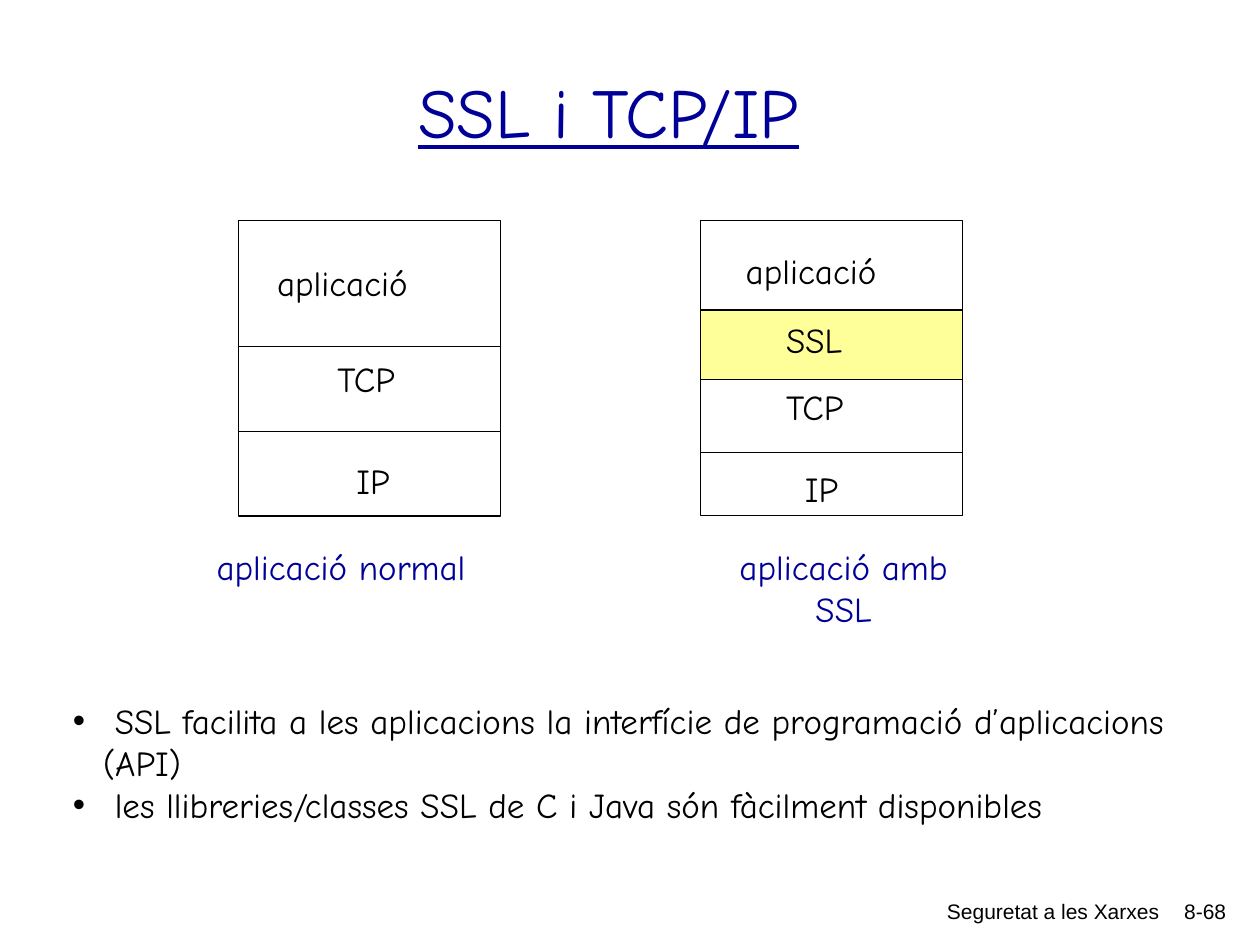
from dataclasses import dataclass

from lxml import etree
from pptx import Presentation
from pptx.dml.color import RGBColor
from pptx.enum.shapes import MSO_SHAPE
from pptx.enum.text import MSO_ANCHOR, MSO_AUTO_SIZE, PP_ALIGN
from pptx.oxml.ns import qn
from pptx.shapes.shapetree import GroupShapes, SlideShapes
from pptx.slide import Slide
from pptx.util import Inches, Pt

BLACK = RGBColor(0x00, 0x00, 0x00)
NAVY = RGBColor(0x00, 0x00, 0x99)
YELLOW = RGBColor(0xFF, 0xFF, 0x99)
RECTANGLE = MSO_SHAPE.RECTANGLE
LEFT, CENTER, RIGHT = PP_ALIGN.LEFT, PP_ALIGN.CENTER, PP_ALIGN.RIGHT
TOP, MIDDLE = MSO_ANCHOR.TOP, MSO_ANCHOR.MIDDLE
FIT_SHAPE = MSO_AUTO_SIZE.SHAPE_TO_FIT_TEXT

SLIDE_WIDTH, SLIDE_HEIGHT = Inches(10), Inches(7.5)
COLUMN = SLIDE_WIDTH // 100
ROW = SLIDE_HEIGHT // 75
STACK_TOP = 17.5
STACK_WIDTH = 20.8
LABEL_HEIGHT = 4.4
BULLET_INDENT = Inches(0.24)


@dataclass(frozen=True)
class Area:
    left: float
    top: float
    width: float
    height: float

    def lengths(self) -> tuple[int, int, int, int]:
        return (round(self.left * COLUMN), round(self.top * ROW),
                round(self.width * COLUMN), round(self.height * ROW))


@dataclass(frozen=True)
class TextStyle:
    size: int = 20
    color: RGBColor = BLACK
    font: str = "Comic Neue"
    alignment: PP_ALIGN = LEFT
    anchor: MSO_ANCHOR = TOP
    underline: bool = False
    wrap: bool = True
    bullet: bool = False
    grow: bool = False


@dataclass(frozen=True)
class Layer:
    name: str
    height: float
    label_left: float
    label_drop: float
    label_width: float
    fill: RGBColor | None = None


@dataclass(frozen=True)
class Stack:
    left: float
    layers: tuple[Layer, ...]
    caption: str
    caption_area: Area
    caption_style: TextStyle


LABEL = TextStyle(wrap=False, grow=True)
TITLE = TextStyle(40, NAVY, alignment=CENTER, anchor=MIDDLE, underline=True)
FOOTER = TextStyle(12, font="Arial", alignment=RIGHT)
BULLETS = TextStyle(bullet=True, grow=True)

STACKS = (
    Stack(
        18.9,
        (
            Layer("aplicació", 10, 2.1, 2.8, 12.8),
            Layer("TCP", 6.75, 6.9, 0.4, 7.1),
            Layer("IP", 6.7, 8.4, 1.7, 5),
        ),
        "aplicació normal",
        Area(16.2, 42.8, 22.2, LABEL_HEIGHT),
        TextStyle(color=NAVY, wrap=False, grow=True),
    ),
    Stack(
        55.6,
        (
            Layer("aplicació", 7.1, 2.6, 1.8, 12.8),
            Layer("SSL", 5.5, 5.8, 0.2, 6.9, YELLOW),
            Layer("TCP", 5.8, 5.8, 0, 7.1),
            Layer("IP", 5, 7.3, 0.7, 5),
        ),
        "aplicació amb SSL",
        Area(57, 42.8, 19.9, 7.7),
        TextStyle(color=NAVY, alignment=CENTER, grow=True),
    ),
)

TEXTS = (
    ("8-68", Area(90.9, 70.8, 7.4, 3.3), FOOTER),
    ("Seguretat a les Xarxes", Area(50.8, 70.8, 42.2, 3.4), FOOTER),
    ("SSL i TCP/IP", Area(5.8, 2.5, 85, 12.5), TITLE),
    (
        " SSL facilita a les aplicacions la interfície de programació d’aplicacions (API)\n"
        " les llibreries/classes SSL de C i Java són fàcilment disponibles",
        Area(4.8, 55, 91.9, 11),
        BULLETS,
    ),
)


def add_bullet(paragraph) -> None:
    properties = paragraph._p.get_or_add_pPr()
    properties.set("marL", str(BULLET_INDENT))
    properties.set("indent", str(-BULLET_INDENT))
    color = etree.SubElement(properties, qn("a:buClr"))
    etree.SubElement(color, qn("a:srgbClr")).set("val", str(BLACK))
    etree.SubElement(properties, qn("a:buFont")).set("typeface", "Arial")
    etree.SubElement(properties, qn("a:buChar")).set("char", "•")


def add_text(shapes: SlideShapes | GroupShapes, text: str, area: Area, style: TextStyle) -> None:
    text_frame = shapes.add_textbox(*area.lengths()).text_frame
    text_frame.text = text
    text_frame.word_wrap = style.wrap
    text_frame.vertical_anchor = style.anchor
    if style.grow:
        text_frame.auto_size = FIT_SHAPE
    for paragraph in text_frame.paragraphs:
        paragraph.alignment = style.alignment
        if style.bullet:
            add_bullet(paragraph)
        for run in paragraph.runs:
            run.font.name = style.font
            run.font.size = Pt(style.size)
            run.font.color.rgb = style.color
            run.font.underline = style.underline


def add_layer(shapes: GroupShapes, layer: Layer, left: float, top: float) -> None:
    area = Area(left, top, STACK_WIDTH, layer.height)
    shape = shapes.add_shape(RECTANGLE, *area.lengths())
    shape.shadow.inherit = False
    shape.line.color.rgb = BLACK
    shape.line.width = Pt(0.75)
    if layer.fill is None:
        shape.fill.background()
    else:
        shape.fill.solid()
        shape.fill.fore_color.rgb = layer.fill
    label_area = Area(left + layer.label_left, top + layer.label_drop,
                      layer.label_width, LABEL_HEIGHT)
    add_text(shapes, layer.name, label_area, LABEL)


def add_stack(slide: Slide, stack: Stack) -> None:
    shapes = slide.shapes.add_group_shape().shapes
    top = STACK_TOP
    for layer in stack.layers:
        add_layer(shapes, layer, stack.left, top)
        top += layer.height
    add_text(shapes, stack.caption, stack.caption_area, stack.caption_style)


def main() -> None:
    presentation = Presentation()
    presentation.slide_width = SLIDE_WIDTH
    presentation.slide_height = SLIDE_HEIGHT
    slide = presentation.slides.add_slide(presentation.slide_layouts[6])
    for text, area, style in TEXTS:
        add_text(slide.shapes, text, area, style)
    for stack in STACKS:
        add_stack(slide, stack)
    presentation.save("out.pptx")


if __name__ == "__main__":
    main()
